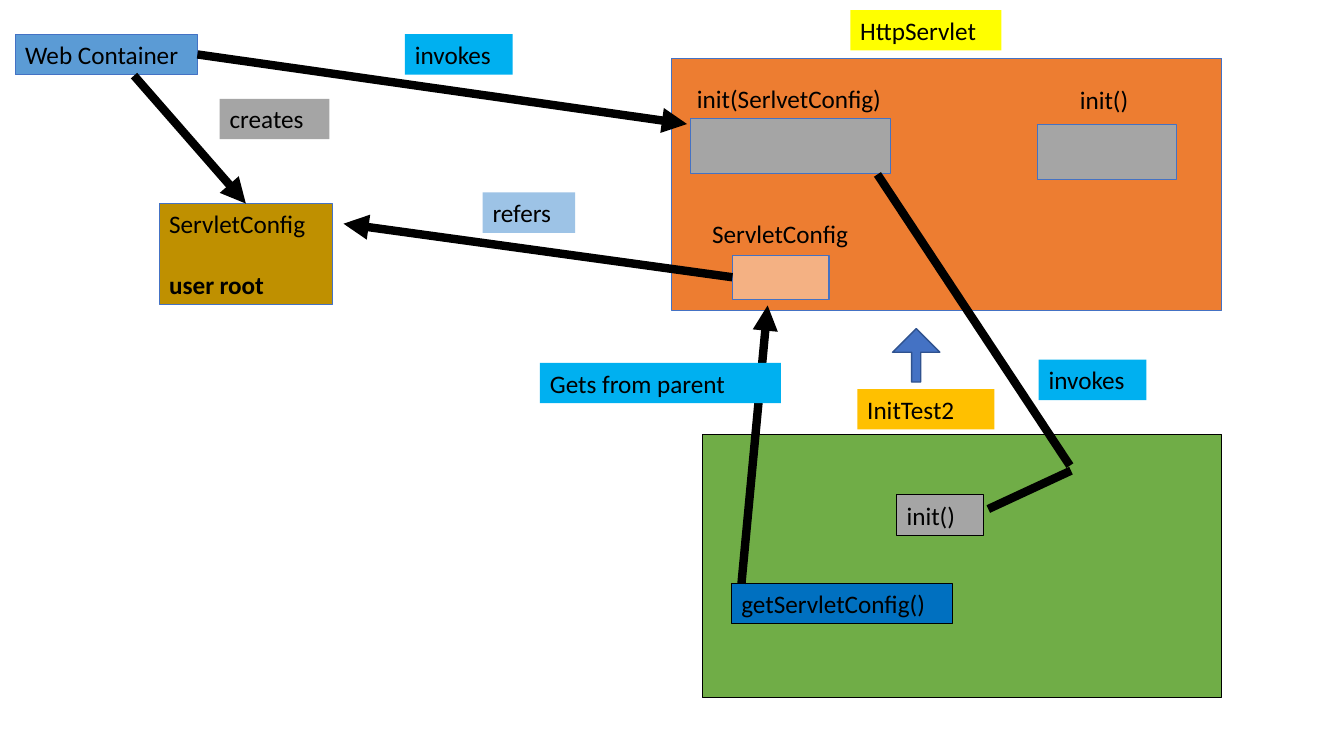
"""Build a slide on how servlet init methods share one ServletConfig."""
from lxml.etree import SubElement
from pptx import Presentation
from pptx.dml.color import RGBColor
from pptx.enum.shapes import MSO_CONNECTOR, MSO_SHAPE
from pptx.enum.text import MSO_ANCHOR, MSO_AUTO_SIZE, PP_ALIGN
from pptx.oxml.ns import qn
from pptx.util import Pt

THEME = {
    "black": "000000", "blue": "4472C4", "navy": "2F528F", "steel": "5B9BD5",
    "orange": "ED7D31", "peach": "F4B183", "gray": "A5A5A5", "yellow": "FFFF00",
    "bronze": "BF9000", "green": "70AD47", "gold": "FFC000", "sky": "00B0F0",
    "pale": "9DC3E6", "deep": "0070C0",
    "font": "Calibri", "size": Pt(18), "thin": Pt(0.75), "edge": Pt(1), "thick": Pt(6),
}
FRAME = {
    "word_wrap": True, "auto_size": MSO_AUTO_SIZE.SHAPE_TO_FIT_TEXT,
    "vertical_anchor": MSO_ANCHOR.TOP,
}
FONT = {"name": THEME["font"], "size": THEME["size"]}
ROW = 28.8

deck = Presentation()
deck.slide_width, deck.slide_height = Pt(960.5), Pt(540)
slide = deck.slides.add_slide(deck.slide_layouts[6])


def add_box(text, left, top, width, height, fill=None, line=None, kind=MSO_SHAPE.RECTANGLE):
    """Add a filled box, or a plain text box when no fill is given."""
    place = [Pt(side) for side in (left, top, width, height)]
    if fill:
        box = slide.shapes.add_shape(kind, *place)
        box.shadow.inherit = False
        box.fill.solid()
        box.fill.fore_color.rgb = RGBColor.from_string(THEME[fill])
    else:
        box = slide.shapes.add_textbox(*place)
    if line:
        box.line.color.rgb = RGBColor.from_string(THEME[line])
        box.line.width = THEME["thin"]
    else:
        box.line.fill.background()
    if text:
        frame = box.text_frame
        frame.text = text
        for key, value in FRAME.items():
            setattr(frame, key, value)
        for para in frame.paragraphs:
            para.alignment = PP_ALIGN.LEFT
            para.font.color.rgb = RGBColor.from_string(THEME["black"])
            for key, value in FONT.items():
                setattr(para.font, key, value)
    return box


def add_link(start, end, head=True):
    """Add a thick black line, with an arrowhead at its end if asked."""
    points = [Pt(value) for value in (*start, *end)]
    link = slide.shapes.add_connector(MSO_CONNECTOR.STRAIGHT, *points)
    link.line.color.rgb = RGBColor.from_string(THEME["black"])
    link.line.width = THEME["thick"]
    if head:
        SubElement(link.line._get_or_add_ln(), qn("a:tailEnd"), type="triangle")
    SubElement(link._element.spPr, qn("a:effectLst"))
    return link


add_box("", 480.2, 41.8, 393.1, 180, "orange", "blue")
add_box("HttpServlet", 612.7 - 5, 7.2, 108, ROW, "yellow")
add_box("", 741.6, 88.6, 99.4, 39.6, "gray", "blue")
add_box("init()", 764.6, 56.9, 63.4, ROW)
field = add_box("", 523.4, 182.2, 69.1, 31.7, "peach", "blue")
add_box("ServletConfig", 501.8, 152.6, 125.3, ROW)
add_box("", 493.2, 85, 143.3, 38.9, "gray", "blue")
add_box("init(SerlvetConfig)", 491, 56.2, 164.2, ROW)

web = add_box("Web Container", 10.8, 24.5, 130.3, ROW, "steel", "blue")
config = add_box("ServletConfig\nuser\troot", 113.8, 145.4, 123.8, 72, "bronze", "blue")
pair = config.text_frame.paragraphs[1]
pair.space_before = Pt(22)
pair.font.bold = True

add_box("", 501.8, 310.3, 371.5, 187.9, "green", "black")
add_box("InitTest2", 612.7, 277.9, 97.9, ROW, "gold")
arrow = add_box("", 637.9, 234.7, 33.8, 38.2, "blue", "navy", MSO_SHAPE.UP_ARROW)
arrow.line.width = THEME["edge"]
arrow.adjustments[0] = 0.19
add_box("init()", 640.8, 353.5, 61.9, ROW, "gray", "black")
add_box("getServletConfig()", 522.7, 416.9, 157.7, ROW, "deep", "black")

add_link((95.8, 54), (175.7, 145.4)).end_connect(config, 0)
add_link((141.1, 38.9), (491, 88.6)).begin_connect(web, 3)
add_link((523.4, 198), (245.5, 159.8)).begin_connect(field, 1)
add_link((529.9, 416.9), (548.6, 218.2))
add_link((627.1, 124.6), (764.6, 332.6), head=False)
add_link((765.4, 336.2), (706.3, 363.6), head=False)

for text, left, top, width, fill in (
    ("creates", 157, 70.6, 78.5, "gray"),
    ("invokes", 289.4, 24.5, 77, "sky"),
    ("refers", 344.9, 137.5, 66.2, "pale"),
    ("invokes", 742.3, 257, 77, "sky"),
    ("Gets from parent", 385.9, 259.2, 172.1, "sky"),
):
    add_box(text, left, top, width, ROW, fill)

deck.save("out.pptx")
